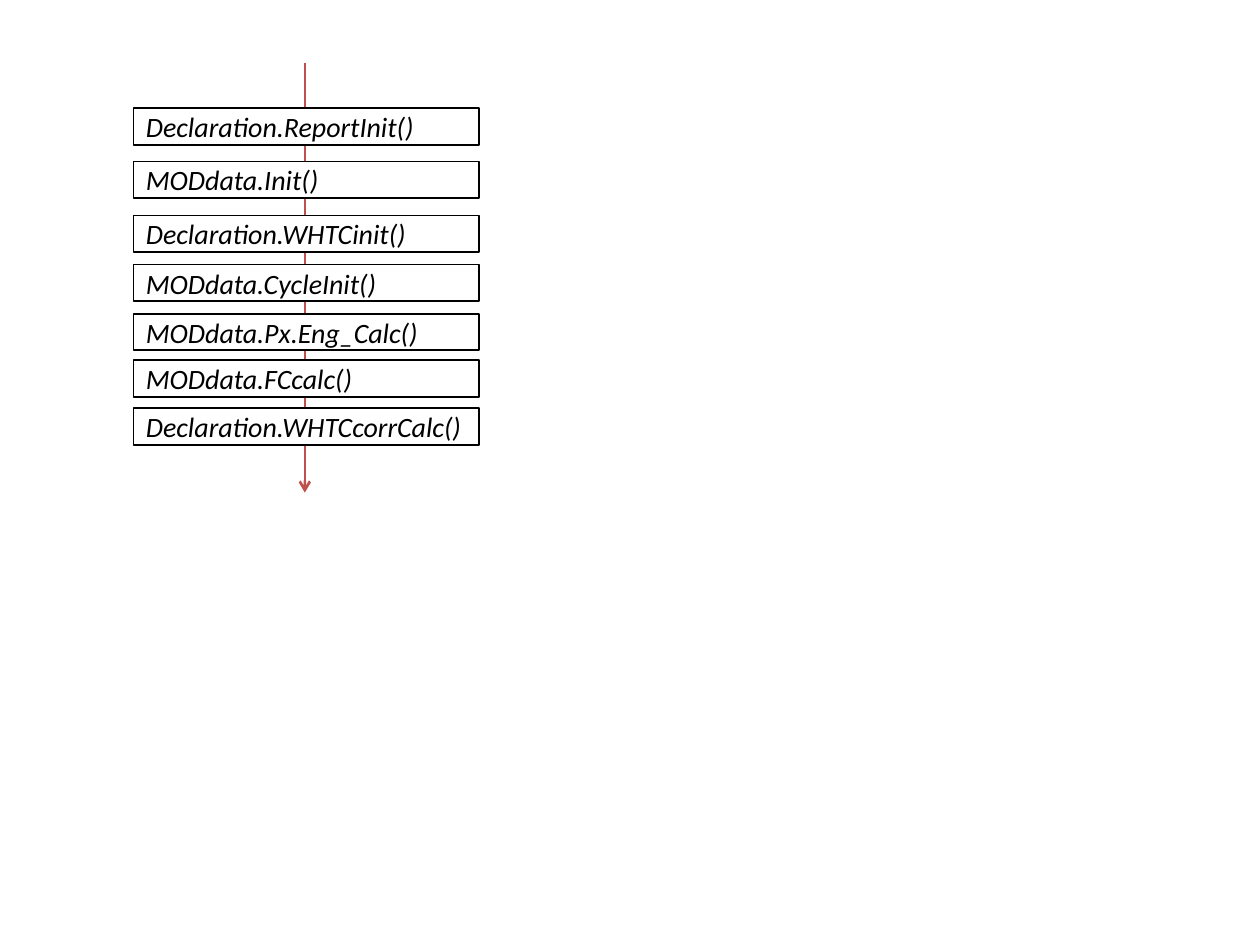
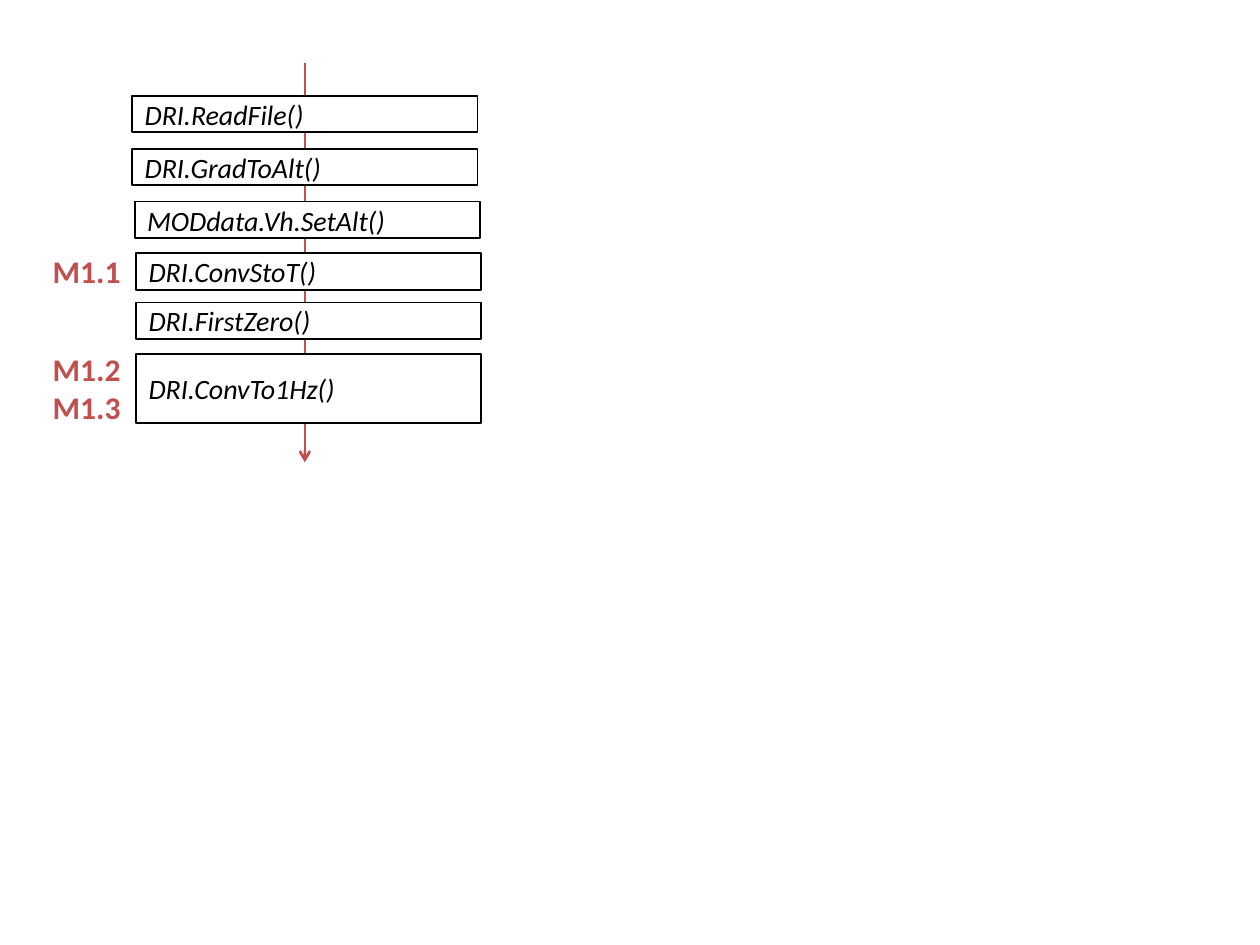
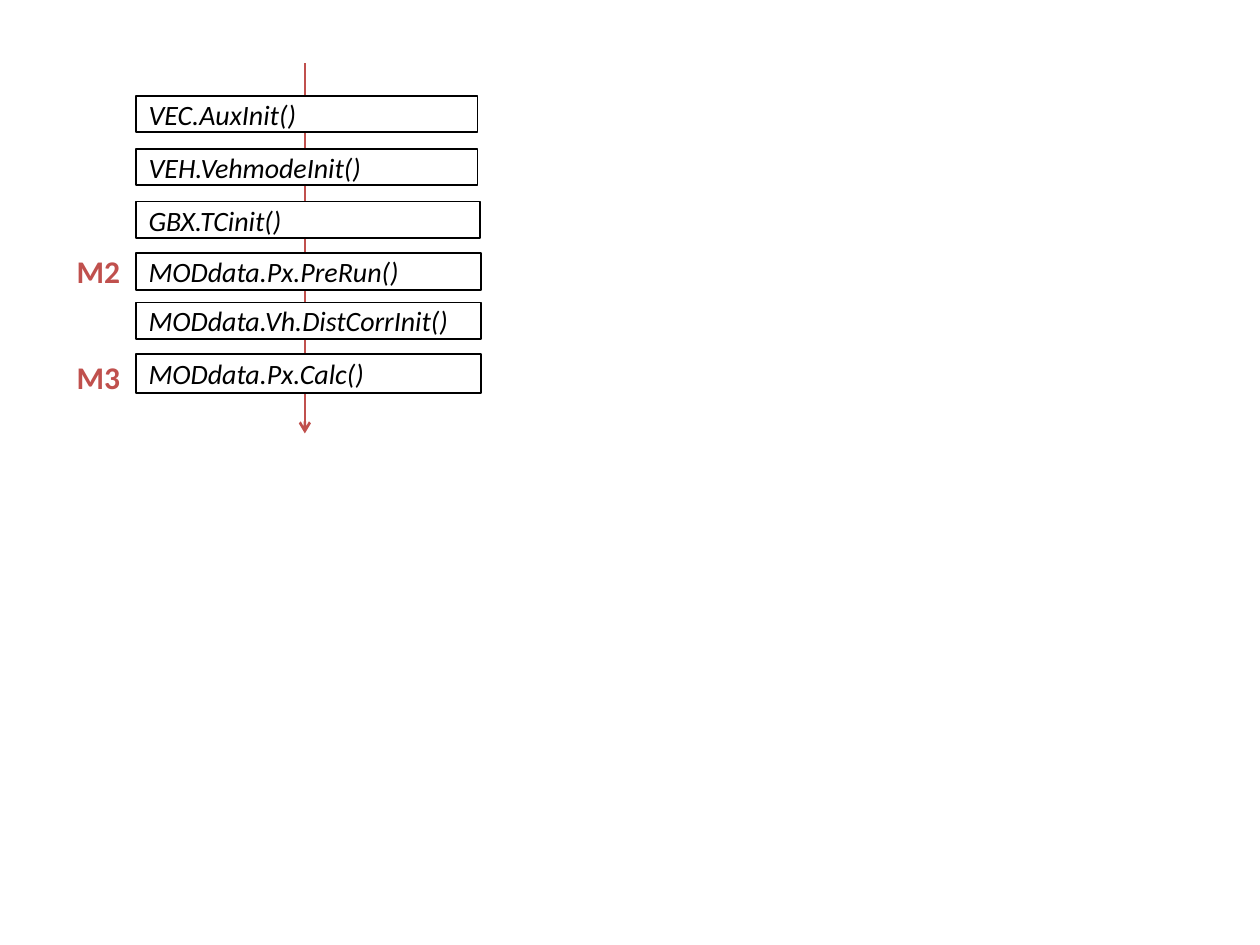
import pptx
import pptx.util
import pptx.dml.color
import pptx.enum.shapes
import pptx.enum.text
import pptx.oxml
import pptx.oxml.ns
from dataclasses import dataclass

Pt = pptx.util.Pt
RGB = pptx.dml.color.RGBColor.from_string


@dataclass(frozen=True)
class Theme:
    font: str = "Calibri"
    accent: str = "C0504D"
    ink: str = "000000"
    paper: str = "FFFFFF"
    call_size: float = 16
    module_size: float = 18
    box_line: float = 1
    flow_line: float = 1.5


THEME = Theme()

# Shared geometry, in points
SLIDE_SIZE = (720, 540)
FLOW_X, FLOW_TOP = 174.2, 36
BOX_LEFT, BOX_WIDTH, BOX_HEIGHT = 77.8, 197.3, 20.9
ROW_TOPS = (54.7, 85, 115.2, 144.7, 172.8, 202.3)
REPORT_LEFT = 76.3
REPORT_TOPS = (61.9, 92.2, 123.1, 151.2, 179.3, 205.9, 233.3)

# Content: calls are (text, differences from the usual box);
# modules are (lines, left, top, width, height)
FLOWS = [
    {
        "end": 281.5,
        "tops": REPORT_TOPS,
        "calls": [(text, {"left": REPORT_LEFT}) for text in (
            "Declaration.ReportInit()",
            "MODdata.Init()",
            "Declaration.WHTCinit()",
            "MODdata.CycleInit()",
            "MODdata.Px.Eng_Calc()",
            "MODdata.FCcalc()",
            "Declaration.WHTCcorrCalc()",
        )],
        "modules": [],
    },
    {
        "end": 264.2,
        "tops": ROW_TOPS,
        "calls": [
            ("DRI.ReadFile()", {"left": 75.6}),
            ("DRI.GradToAlt()", {"left": 75.6}),
            ("MODdata.Vh.SetAlt()", {"left": 77}),
            ("DRI.ConvStoT()", {}),
            ("DRI.FirstZero()", {}),
            ("DRI.ConvTo1Hz()", {"height": 39.6}),
        ],
        "modules": [
            (["M1.1"], 23, 140.4, 54, 28.8),
            (["M1.2", "M1.3"], 23, 196.6, 54, 51.1),
        ],
    },
    {
        "end": 247.7,
        "tops": ROW_TOPS,
        "calls": [
            ("VEC.AuxInit()", {"width": 195.1}),
            ("VEH.VehmodeInit()", {"width": 195.1}),
            ("GBX.TCinit()", {"width": 196.6}),
            ("MODdata.Px.PreRun()", {}),
            ("MODdata.Vh.DistCorrInit()", {}),
            ("MODdata.Px.Calc()", {"height": 22.3}),
        ],
        "modules": [
            (["M2"], 36.7, 140.4, 39.6, 28.8),
            (["M3"], 36.7, 200.9, 39.6, 28.8),
        ],
    },
]


def write(text_frame, lines, size, color, bold=False, italic=False):
    text_frame.text = "\n".join(lines)
    text_frame.word_wrap = False
    for paragraph in text_frame.paragraphs:
        paragraph.alignment = pptx.enum.text.PP_ALIGN.LEFT
        for run in paragraph.runs:
            run.font.name = THEME.font
            run.font.size = Pt(size)
            run.font.color.rgb = RGB(color)
            run.font.bold = bold
            run.font.italic = italic


def add_flow_arrow(slide, end):
    connector = slide.shapes.add_connector(
        pptx.enum.shapes.MSO_CONNECTOR.STRAIGHT,
        Pt(FLOW_X), Pt(end), Pt(FLOW_X), Pt(FLOW_TOP))
    connector.line.color.rgb = RGB(THEME.accent)
    connector.line.width = Pt(THEME.flow_line)
    # The arrowhead sits at the lower end, where the line begins
    namespace = pptx.oxml.ns.nsdecls("a")
    line = connector.line._get_or_add_ln()
    line.append(pptx.oxml.parse_xml(f'<a:headEnd {namespace} type="arrow"/>'))
    connector._element.spPr.append(
        pptx.oxml.parse_xml(f"<a:effectLst {namespace}/>"))


def add_call(slide, text, top, left=BOX_LEFT, width=BOX_WIDTH,
             height=BOX_HEIGHT):
    shape = slide.shapes.add_shape(
        pptx.enum.shapes.MSO_SHAPE.RECTANGLE,
        Pt(left), Pt(top), Pt(width), Pt(height))
    shape.shadow.inherit = False
    shape.fill.solid()
    shape.fill.fore_color.rgb = RGB(THEME.paper)
    shape.line.color.rgb = RGB(THEME.ink)
    shape.line.width = Pt(THEME.box_line)
    shape.text_frame.vertical_anchor = pptx.enum.text.MSO_ANCHOR.MIDDLE
    write(shape.text_frame, [text], THEME.call_size, THEME.ink, italic=True)


def add_module(slide, lines, left, top, width, height):
    shape = slide.shapes.add_textbox(Pt(left), Pt(top), Pt(width), Pt(height))
    write(shape.text_frame, lines, THEME.module_size, THEME.accent, bold=True)
    shape.text_frame.auto_size = (
        pptx.enum.text.MSO_AUTO_SIZE.SHAPE_TO_FIT_TEXT)


presentation = pptx.Presentation()
presentation.slide_width, presentation.slide_height = map(Pt, SLIDE_SIZE)
blank_layout = presentation.slide_layouts[6]

# One call sequence per slide
for flow in FLOWS:
    slide = presentation.slides.add_slide(blank_layout)
    add_flow_arrow(slide, flow["end"])
    for (text, differences), top in zip(flow["calls"], flow["tops"]):
        add_call(slide, text, top, **differences)
    for module in flow["modules"]:
        add_module(slide, *module)

presentation.save("out.pptx")
